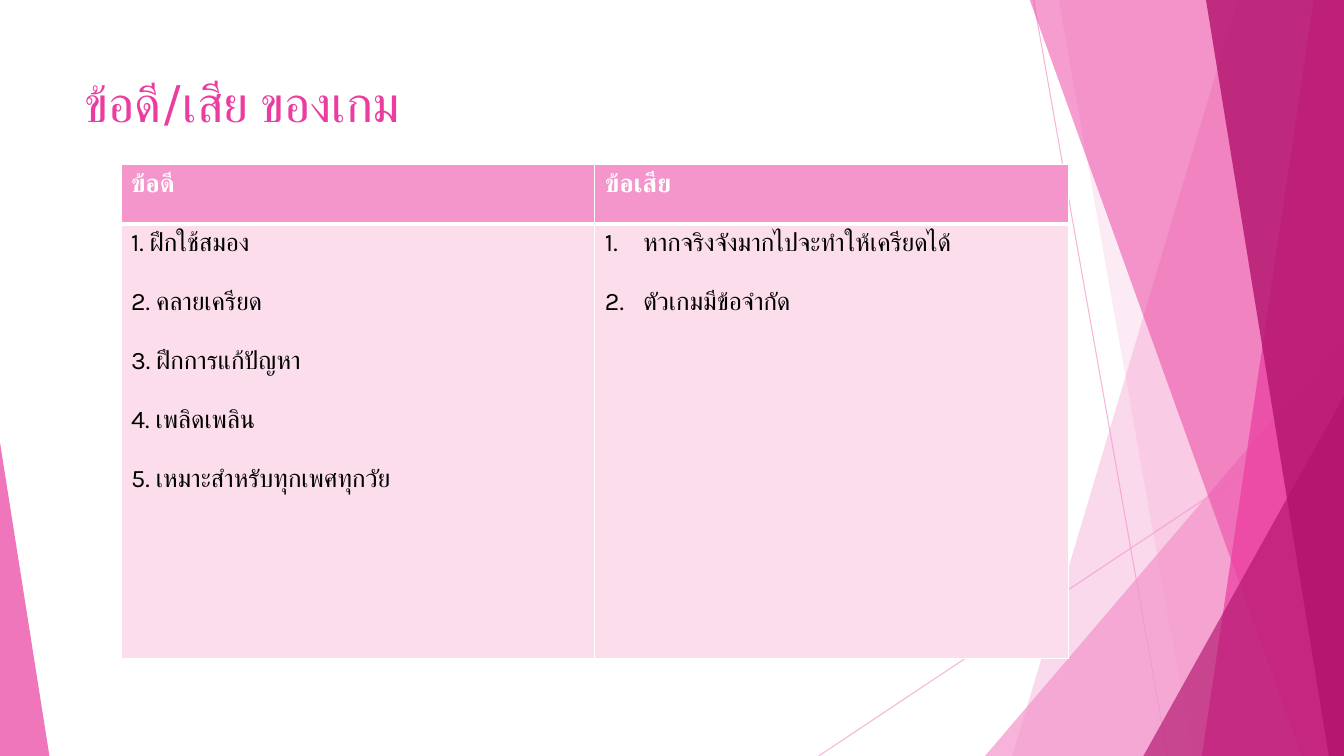
from dataclasses import dataclass

from lxml import etree
from pptx import Presentation
from pptx import util as u
from pptx.dml.color import RGBColor
from pptx.enum import shapes, text
from pptx.oxml import ns


@dataclass(frozen=True)
class Theme:
    pink: str = "F496CB"
    magenta: str = "EB3D9F"
    plum: str = "B2136D"
    blush: str = "FBDDEC"
    white: str = "FFFFFF"
    black: str = "000000"
    font: str = "Karla"
    title_size: int = 36
    body_size: int = 18


def add_xml(parent, tag, **attributes):
    return etree.SubElement(parent, ns.qn(tag), attributes)


class SlideBuilder:
    def __init__(self, slide, theme):
        self.slide = slide
        self.theme = theme

    def set_alpha(self, color_format, color, percent):
        """Apply a solid colour with the given opacity."""
        color_format.solid()
        color_format.fore_color.rgb = RGBColor.from_string(color)
        return str(percent * 1000)

    def paint(self, shape, color, opacity):
        alpha = self.set_alpha(shape.fill, color, opacity)
        solid = shape._element.spPr.find(ns.qn("a:solidFill"))
        add_xml(solid[0], "a:alpha", val=alpha)
        shape.line.fill.background()
        shape.shadow.inherit = False

    def line(self, start, end):
        ray = self.slide.shapes.add_connector(
            shapes.MSO_CONNECTOR.STRAIGHT, *map(u.Inches, start + end))
        ray.line.width = u.Pt(0.75)
        alpha = self.set_alpha(ray.line.fill, self.theme.pink, 70)
        properties = ray._element.spPr
        solid = properties.find(ns.qn("a:ln")).find(ns.qn("a:solidFill"))
        add_xml(solid[0], "a:alpha", val=alpha)
        add_xml(properties, "a:effectLst")

    def band(self, top_left, bottom_left, color, opacity):
        """Draw a slanted band that reaches the right edge of the slide."""
        corners = [(top_left, -0.01), (13.33, -0.01), (13.33, 7.5), (bottom_left, 7.5)]
        points = [(u.Inches(x), u.Inches(y)) for x, y in corners]
        outline = self.slide.shapes.build_freeform(*points[0], scale=1.0)
        outline.add_line_segments(points[1:], close=True)
        self.paint(outline.convert_to_shape(), color, opacity)

    def triangle(self, box, apex, color, opacity):
        corner = self.slide.shapes.add_shape(
            shapes.MSO_SHAPE.ISOSCELES_TRIANGLE, *map(u.Inches, box))
        corner.adjustments[0] = apex
        self.paint(corner, color, opacity)

    def format_runs(self, paragraph, size, color, bold=False):
        for run in paragraph.runs:
            run.font.size = u.Pt(size)
            run.font.bold = bold
            run.font.name = self.theme.font
            run.font.color.rgb = RGBColor.from_string(color)
            add_xml(run._r.get_or_add_rPr(), "a:cs", typeface=self.theme.font)

    def title(self, wording, box):
        heading = self.slide.shapes.title
        heading.left, heading.top, heading.width, heading.height = map(u.Inches, box)
        frame = heading.text_frame
        frame.text = wording
        frame.vertical_anchor = text.MSO_ANCHOR.TOP
        frame.paragraphs[0].alignment = text.PP_ALIGN.LEFT
        self.format_runs(frame.paragraphs[0], self.theme.title_size, self.theme.magenta)

    def cell(self, cell, lines, fill, color, bold=False, gap=0, numbered=False,
             indent=0, bottom_width=1):
        cell.text_frame.text = "\n".join(lines)
        for index, paragraph in enumerate(cell.text_frame.paragraphs):
            paragraph.space_before = u.Pt(gap if index else 0)
            self.format_runs(paragraph, self.theme.body_size, color, bold)
            properties = paragraph._p.get_or_add_pPr()
            if indent:
                properties.set("marL", str(u.Inches(indent)))
                properties.set("indent", str(-u.Inches(indent)))
            if numbered:
                add_xml(properties, "a:buFont", typeface="+mj-lt")
                add_xml(properties, "a:buAutoNum", type="arabicPeriod")
        # Borders come before the fill in the cell properties
        properties = cell._tc.get_or_add_tcPr()
        for side in "LRTB":
            width = bottom_width if side == "B" else 1
            border = add_xml(properties, f"a:ln{side}", w=str(u.Pt(width)))
            solid = add_xml(border, "a:solidFill")
            add_xml(solid, "a:srgbClr", val=self.theme.white)
        cell.fill.solid()
        cell.fill.fore_color.rgb = RGBColor.from_string(fill)

    def comparison(self, box, row_heights, columns):
        grid = self.slide.shapes.add_table(2, len(columns), *map(u.Inches, box)).table
        for row, height in zip(grid.rows, row_heights):
            row.height = u.Inches(height)
        for index, (heading, points, options) in enumerate(columns):
            self.cell(grid.cell(0, index), [heading], self.theme.pink,
                      self.theme.white, bold=True, bottom_width=3)
            self.cell(grid.cell(1, index), points, self.theme.blush,
                      self.theme.black, indent=0.38, **options)


def main():
    deck = Presentation()
    deck.slide_width, deck.slide_height = u.Inches(13.33), u.Inches(7.5)
    theme = Theme()
    builder = SlideBuilder(deck.slides.add_slide(deck.slide_layouts[5]), theme)

    # Background rays and facets
    builder.line((10.25, 0), (11.58, 7.5))
    builder.line((13.33, 4.03), (8.12, 7.5))
    builder.band(12.28, 10.04, theme.pink, 36)
    builder.band(10.5, 11.83, theme.pink, 20)
    builder.triangle((9.77, 3.33, 3.56, 4.17), 1, theme.pink, 72)
    builder.band(10.21, 12.91, theme.magenta, 50)
    builder.band(13.03, 11.92, theme.magenta, 70)
    builder.band(11.96, 13.18, theme.plum, 80)
    builder.triangle((11.34, 3.93, 1.99, 3.57), 1, theme.plum, 66)
    builder.triangle((0, 4.39, 0.49, 3.11), 0, theme.magenta, 70)

    # Title
    builder.title("ข้อดี/เสีย ของเกม", (0.74, 0.67, 9.4, 1.44))

    # Advantages and disadvantages
    advantages = ["1. ฝึกใช้สมอง", "2. คลายเครียด", "3. ฝึกการแก้ปัญหา",
                  "4. เพลิดเพลิน", "5. เหมาะสำหรับทุกเพศทุกวัย"]
    disadvantages = ["หากจริงจังมากไปจะทำให้เครียดได้", "ตัวเกมมีข้อจำกัด"]
    builder.comparison((1.2, 1.63, 9.4, 4.9), (0.59, 4.31), [
        ("ข้อดี", advantages, {"gap": 21}),
        ("ข้อเสีย", disadvantages, {"gap": 21, "numbered": True}),
    ])

    deck.save("out.pptx")


if __name__ == "__main__":
    main()
